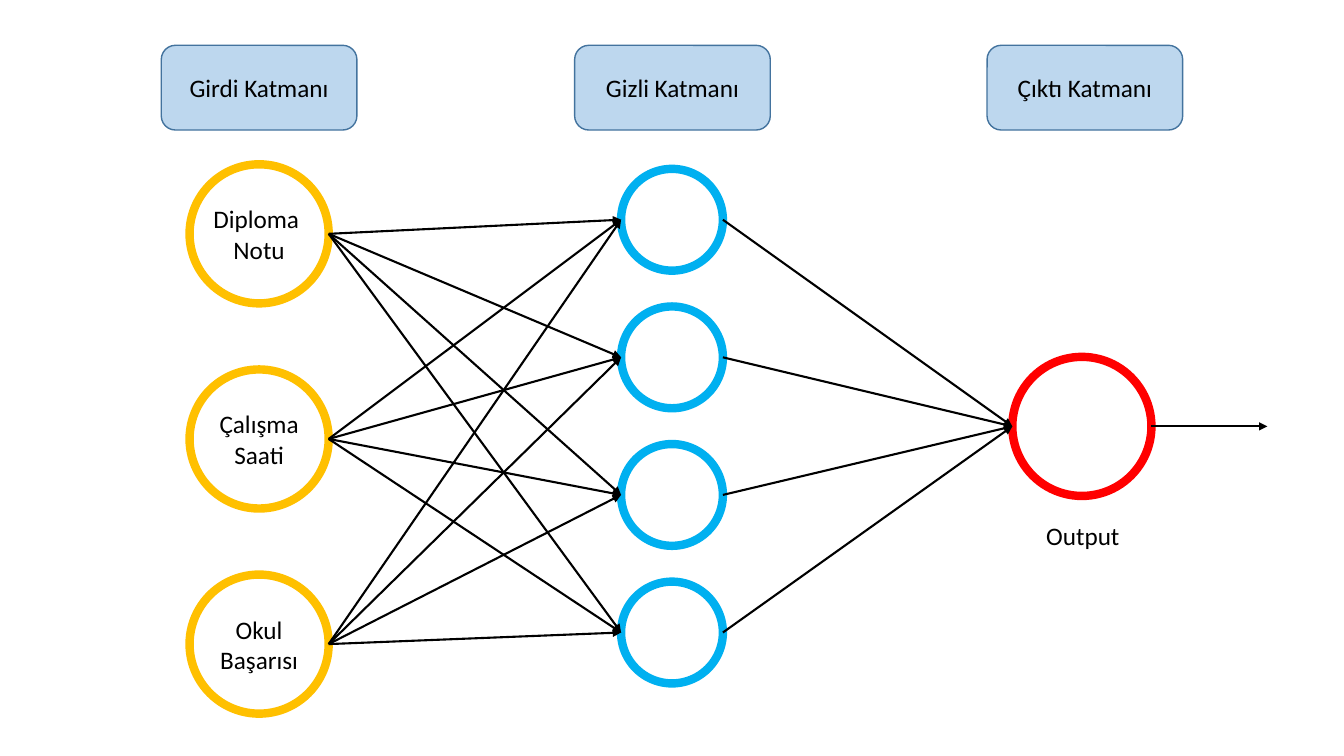
from lxml.etree import SubElement
from pptx import Presentation
from pptx.dml.color import RGBColor
from pptx.enum.shapes import MSO_CONNECTOR, MSO_SHAPE
from pptx.enum.text import MSO_ANCHOR, PP_ALIGN
from pptx.oxml.ns import qn
from pptx.util import Inches, Pt

# Content: layer headings with their centre x, and the neurons of each layer
HEADINGS = [("Girdi Katmanı", 2.57), ("Gizli Katmanı", 6.67), ("Çıktı Katmanı", 10.76)]
INPUTS = [["Diploma ", "Notu"], ["Çalışma", "Saati"], ["Okul", "Başarısı"]]
HIDDEN_COUNT = 4
OUTPUT_LABEL = "Output"

# Layout in inches: centre x, first centre y, vertical step, diameter
INPUT_X, INPUT_Y, INPUT_STEP, LARGE = 2.57, 2.32, 2.035, 1.38
HIDDEN_X, HIDDEN_Y, HIDDEN_STEP, SMALL = 6.665, 2.18, 1.365, 1.01
OUTPUT_X, OUTPUT_Y = 10.73, 4.23
HEADING_Y, HEADING_WIDTH, HEADING_HEIGHT = 0.87, 1.94, 0.84
ARROW_END_X = 12.57


def color(value):
    return RGBColor.from_string(value)


def write(shape, lines):
    frame = shape.text_frame
    frame.word_wrap = False
    frame.vertical_anchor = MSO_ANCHOR.MIDDLE
    frame.margin_left = frame.margin_right = 0
    frame.margin_top = frame.margin_bottom = 0
    frame.text = "\n".join(lines)
    for paragraph in frame.paragraphs:
        paragraph.alignment = PP_ALIGN.CENTER
        paragraph.font.name = "Calibri"
        paragraph.font.size = Pt(18)
        paragraph.font.color.rgb = color("000000")


def add_centered(slide, kind, x, y, width, height, line, weight, fill=None):
    shape = slide.shapes.add_shape(kind, Inches(x - width / 2), Inches(y - height / 2),
                                   Inches(width), Inches(height))
    shape.shadow.inherit = False
    if fill:
        shape.fill.solid()
        shape.fill.fore_color.rgb = color(fill)
    else:
        shape.fill.background()
    shape.line.color.rgb = color(line)
    shape.line.width = Pt(weight)
    return shape


def add_neuron(slide, x, y, diameter, line):
    return add_centered(slide, MSO_SHAPE.OVAL, x, y, diameter, diameter, line, 6)


def add_arrow(slide, start, end):
    points = [Inches(value) for value in (*start, *end)]
    arrow = slide.shapes.add_connector(MSO_CONNECTOR.STRAIGHT, *points)
    arrow.line.color.rgb = color("000000")
    arrow.line.width = Pt(1.5)
    SubElement(arrow.line._get_or_add_ln(), qn("a:tailEnd"), type="triangle")
    SubElement(arrow._element.spPr, qn("a:effectLst"))


def main():
    presentation = Presentation()
    presentation.slide_width = Inches(13.33)
    presentation.slide_height = Inches(7.5)
    slide = presentation.slides.add_slide(presentation.slide_layouts[6])

    # Layer headings
    for text, x in HEADINGS:
        heading = add_centered(slide, MSO_SHAPE.ROUNDED_RECTANGLE, x, HEADING_Y,
                               HEADING_WIDTH, HEADING_HEIGHT, "43739E", 1, "BDD7EE")
        write(heading, [text])

    # Neurons
    input_ys = [INPUT_Y + INPUT_STEP * row for row in range(len(INPUTS))]
    hidden_ys = [HIDDEN_Y + HIDDEN_STEP * row for row in range(HIDDEN_COUNT)]
    for lines, y in zip(INPUTS, input_ys):
        write(add_neuron(slide, INPUT_X, y, LARGE, "FFC000"), lines)
    for y in hidden_ys:
        add_neuron(slide, HIDDEN_X, y, SMALL, "00B0F0")
    add_neuron(slide, OUTPUT_X, OUTPUT_Y, LARGE, "FF0000")
    label = slide.shapes.add_textbox(Inches(10.27), Inches(5.11), Inches(0.94), Inches(0.4))
    write(label, [OUTPUT_LABEL])

    # Arrows between the layers and out of the network
    hidden_left, hidden_right = HIDDEN_X - SMALL / 2, HIDDEN_X + SMALL / 2
    for input_y in input_ys:
        for hidden_y in hidden_ys:
            add_arrow(slide, (INPUT_X + LARGE / 2, input_y), (hidden_left, hidden_y))
    for hidden_y in hidden_ys:
        add_arrow(slide, (hidden_right, hidden_y), (OUTPUT_X - LARGE / 2, OUTPUT_Y))
    add_arrow(slide, (OUTPUT_X + LARGE / 2, OUTPUT_Y), (ARROW_END_X, OUTPUT_Y))

    presentation.save("out.pptx")


if __name__ == "__main__":
    main()
